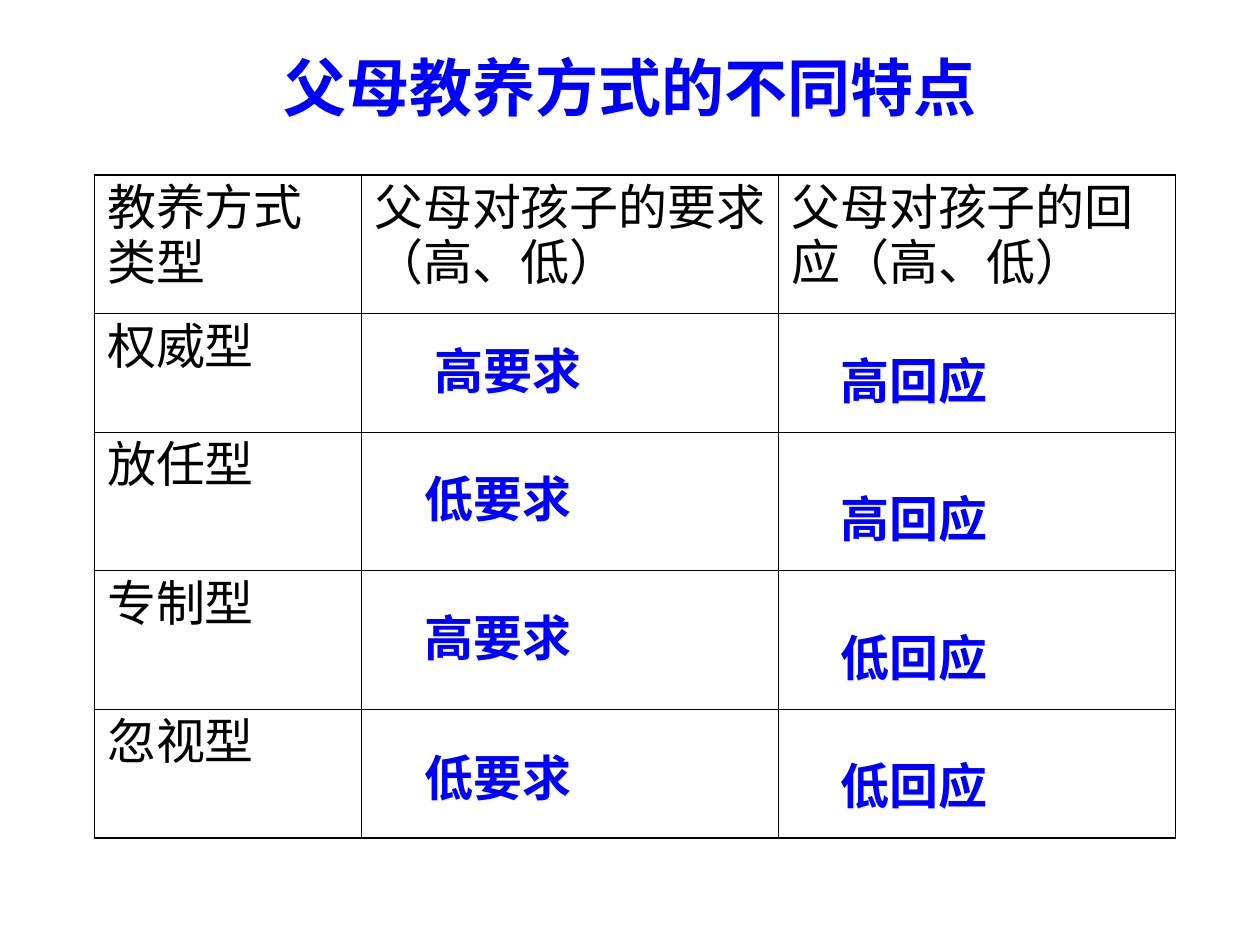
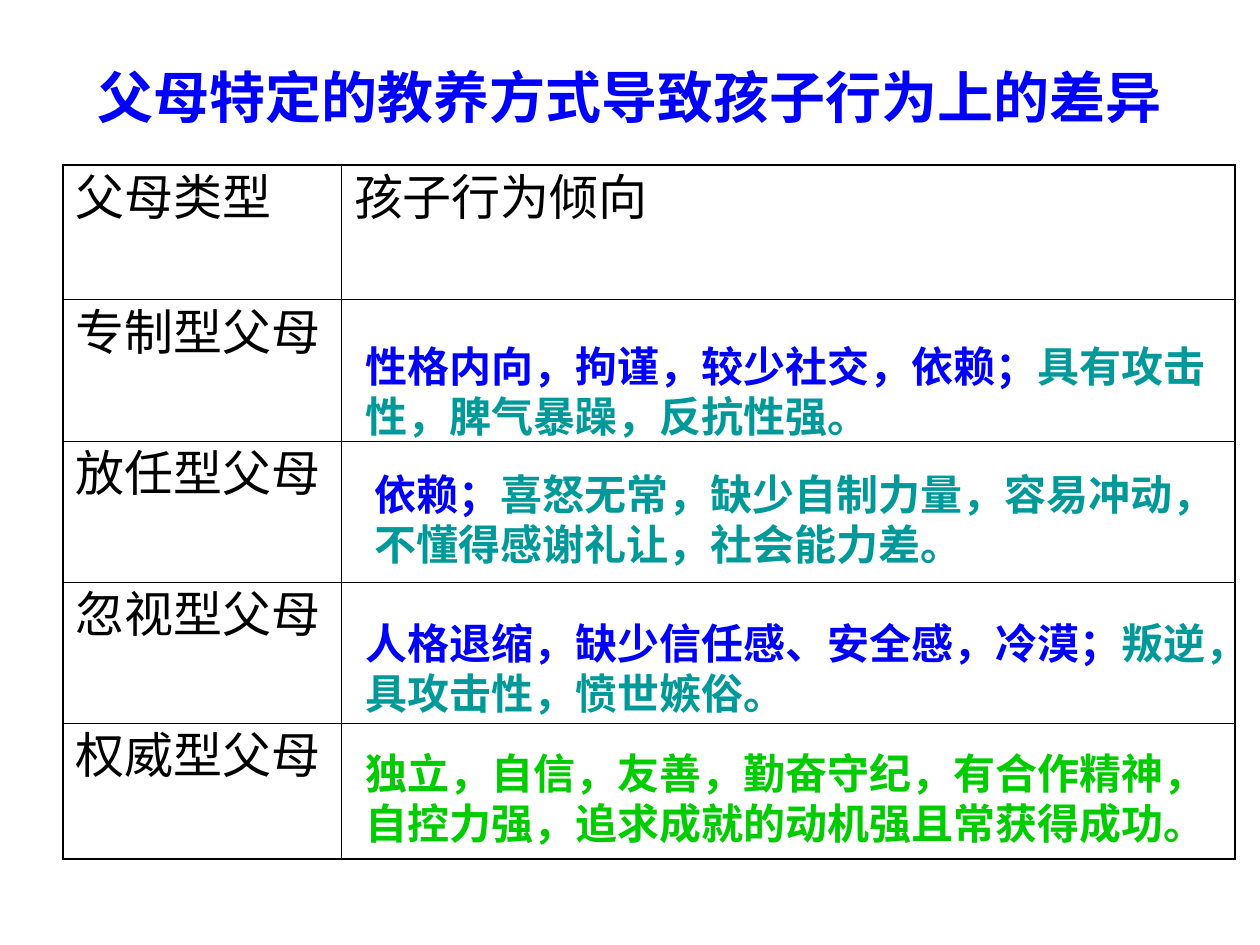
"""Build two slides on parenting styles and how children behave."""
from lxml.etree import SubElement
from pptx import Presentation
from pptx.dml.color import RGBColor
from pptx.enum.text import MSO_ANCHOR, MSO_AUTO_SIZE, PP_ALIGN
from pptx.oxml import parse_xml
from pptx.oxml.ns import nsdecls, qn
from pptx.util import Inches, Pt

FONT = "Arial"
BLACK, BLUE, TEAL, GREEN = "000000", "0000FF", "009999", "00CC00"
THICK, THIN = 1.08, 0.45


def rgb(value):
    return RGBColor.from_string(value)


def write(tf, text, size=28, color=BLACK, bold=False, align=PP_ALIGN.LEFT):
    tf.word_wrap = True
    p = tf.paragraphs[0]
    p.alignment = align
    parts = [(text, color)] if isinstance(text, str) else text
    for part, part_color in parts:
        r = p.add_run()
        r.text = part
        r.font.name = FONT
        r.font.size = Pt(size)
        r.font.bold = bold
        r.font.color.rgb = rgb(part_color)
        SubElement(r.font._element, qn("a:ea"), typeface=FONT)


demands = ["高要求", "低要求", "高要求", "低要求"]
demand_spots = [(3.35, 2.65), (3.27, 3.67), (3.27, 4.77), (3.27, 5.88)]
responses = ["高回应", "高回应", "低回应", "低回应"]
response_tops = [2.73, 3.83, 4.93, 5.95]

slides = [
    dict(
        title="父母教养方式的不同特点", title_size=36, title_height=0.77,
        left=0.75, top=1.39, cols=[2.12, 3.31, 3.15], rows=[1.1, 0.94, 1.1, 1.1, 1.02],
        header=["教养方式类型", "父母对孩子的要求（高、低）", "父母对孩子的回应（高、低）"],
        types=["权威型", "放任型", "专制型", "忽视型"],
        answer_size=28, answer_height=0.57,
        answers=[(x, y, 2.28, [(text, BLUE)]) for text, (x, y) in zip(demands, demand_spots)]
        + [(6.57, y, 2.13, [(text, BLUE)]) for text, y in zip(responses, response_tops)],
    ),
    dict(
        title="父母特定的教养方式导致孩子行为上的差异", title_size=32, title_height=0.93,
        left=0.5, top=1.31, cols=[2.21, 7.09], rows=[1.07, 1.12, 1.12, 1.12, 1.08],
        header=["父母类型", "孩子行为倾向"],
        types=["专制型父母", "放任型父母", "忽视型父母", "权威型父母"],
        answer_size=24, answer_height=0.9,
        answers=[
            (2.8, 2.65, 6.93, [("性格内向，拘谨，较少社交，依赖；", BLUE),
                               ("具有攻击性，脾气暴躁，反抗性强。", TEAL)]),
            (2.87, 3.67, 6.85, [("依赖；", BLUE),
                                ("喜怒无常，缺少自制力量，容易冲动，不懂得感谢礼让，社会能力差。", TEAL)]),
            (2.8, 4.85, 6.93, [("人格退缩，缺少信任感、安全感，冷漠；", BLUE),
                               ("叛逆，具攻击性，愤世嫉俗。", TEAL)]),
            (2.8, 5.88, 6.93, [("独立，自信，友善，勤奋守纪，有合作精神，"
                                "自控力强，追求成就的动机强且常获得成功。", GREEN)]),
        ],
    ),
]

prs = Presentation()
prs.slide_width, prs.slide_height = Inches(10), Inches(7.5)

for d in slides:
    s = prs.slides.add_slide(prs.slide_layouts[6])

    sp = s.shapes.add_textbox(Inches(0.5), Inches(0.3), Inches(9), Inches(d["title_height"]))
    sp.text_frame.vertical_anchor = MSO_ANCHOR.MIDDLE
    write(sp.text_frame, d["title"], size=d["title_size"], color=BLUE, bold=True,
          align=PP_ALIGN.CENTER)

    cols, rows = d["cols"], d["rows"]
    table = s.shapes.add_table(len(rows), len(cols), Inches(d["left"]), Inches(d["top"]),
                               Inches(sum(cols)), Inches(sum(rows))).table
    table.first_row = table.horz_banding = False
    for column, width in zip(table.columns, cols):
        column.width = Inches(width)
    for row, height in zip(table.rows, rows):
        row.height = Inches(height)

    for i in range(len(rows)):
        for j in range(len(cols)):
            cell = table.cell(i, j)
            cell.fill.background()
            outer = {"lnL": j == 0, "lnR": j == len(cols) - 1,
                     "lnT": i == 0, "lnB": i == len(rows) - 1}
            for k, (side, is_outer) in enumerate(outer.items()):
                line = parse_xml(
                    f'<a:{side} {nsdecls("a")} w="{Pt(THICK if is_outer else THIN)}">'
                    f'<a:solidFill><a:srgbClr val="{BLACK}"/></a:solidFill></a:{side}>')
                cell._tc.get_or_add_tcPr().insert(k, line)
            if i == 0:
                write(cell.text_frame, d["header"][j])
            elif j == 0:
                write(cell.text_frame, d["types"][i - 1])

    for x, y, width, parts in d["answers"]:
        sp = s.shapes.add_textbox(Inches(x), Inches(y), Inches(width), Inches(d["answer_height"]))
        sp.text_frame.auto_size = MSO_AUTO_SIZE.SHAPE_TO_FIT_TEXT
        write(sp.text_frame, parts, size=d["answer_size"], bold=True)

prs.save("out.pptx")
